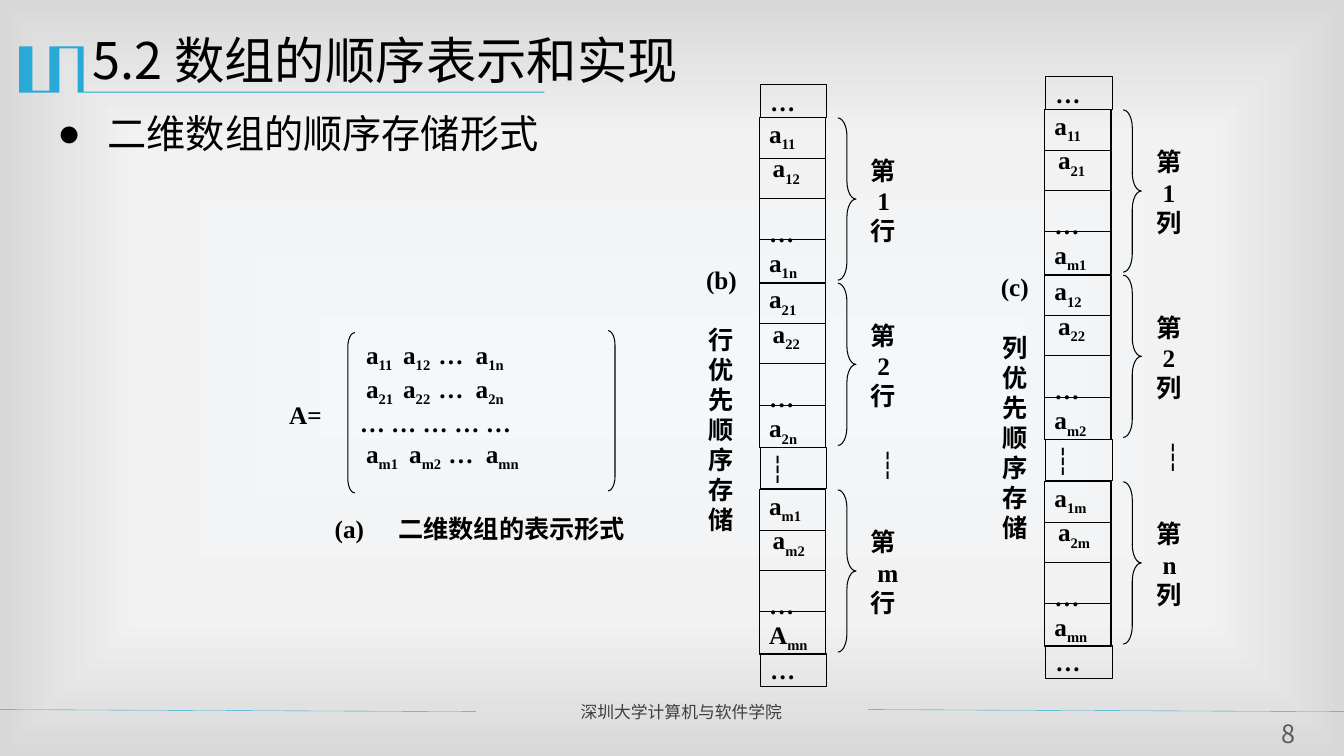
from pptx import Presentation
from pptx.dml.color import RGBColor
from pptx.enum.shapes import MSO_CONNECTOR, MSO_SHAPE as SHAPE
from pptx.enum.text import MSO_ANCHOR as ANCHOR, PP_ALIGN as ALIGN
from pptx.oxml import parse_xml
from pptx.oxml.ns import nsdecls, qn
from pptx.util import Inches, Pt

SANS, SERIF = "Noto Sans CJK SC", "Times New Roman"
BLACK, ACCENT = "000000", "28A9D6"
GRADIENT = [(0, "F4F8FB"), (63000, "F2F2F2"), (100000, "D8D8D8")]
EMBLEM = [(0.82, 0.46), (0.83, 0.46), (0.83, 0.91), (5.4, 0.91), (5.4, 0.92),
          (0.77, 0.92), (0.77, 0.48), (0.59, 0.48), (0.59, 0.92), (0.19, 0.92),
          (0.19, 0.46), (0.32, 0.46), (0.32, 0.9), (0.49, 0.9), (0.49, 0.46)]
MATRIX = [(" a|11|\ta|12|\t…\ta|1n|", (0.43, 0.78, 1.15)),
          (" a|21|\ta|22|\t…\ta|2n|", (0.43, 0.78, 1.15)),
          ("… … … … …", ()),
          (" a|m1|\ta|m2|\t…\ta|mn|", (0.49, 0.88, 1.25))]
BY_ROW = [("a|11|", "| |a|12|", "…", "a|1n|", "1"),
          ("a|21|", "| |a|22|", "…", "a|2n|", "2"),
          ("a|m1|", "| |a|m2|", "…", "A|mn|", "m")]
BY_COLUMN = [("a|11|", "| |a|21|", "…", "a|m1|", "1"),
             ("a|12|", "| |a|22|", "…", "a|m2|", "2"),
             ("a|1m|", "| |a|2m|", "…", "a|mn|", "n")]


def color(value):
    return RGBColor.from_string(value)


def style(span, size, name, value=BLACK, bold=False):
    font = span.font
    font.size, font.name, font.bold = Pt(size), name, bold
    font.color.rgb = color(value)
    face = SANS if any(letter >= "一" for letter in span.text) else name
    east = parse_xml(f'<a:ea {nsdecls("a")} typeface="{face}"/>')
    font._element.find(qn("a:latin")).addnext(east)


def write(para, text, size=18, name=SERIF, value=BLACK, bold=True):
    for index, piece in enumerate(text.split("|")):
        if piece:
            span = para.add_run()
            span.text = piece
            style(span, size, name, value, bold)
            if index % 2:
                span.font._element.set("baseline", "-25000")


def add_tabs(para, stops):
    marks = "".join(f'<a:tab pos="{Inches(stop)}" algn="l"/>' for stop in stops)
    para._p.get_or_add_pPr().append(
        parse_xml(f'<a:tabLst {nsdecls("a")}>{marks}</a:tabLst>'))


def fill_lines(shape, lines):
    frame = shape.text_frame
    frame.word_wrap = True
    frame.vertical_anchor = ANCHOR.MIDDLE
    for index, line in enumerate(lines):
        para = frame.add_paragraph() if index else frame.paragraphs[0]
        para.alignment = ALIGN.LEFT
        write(para, line)
    return frame


def add_text(slide, area, lines):
    return fill_lines(slide.shapes.add_textbox(*map(Inches, area)), lines)


def add_outline(slide, kind, area, adjustments=()):
    shape = slide.shapes.add_shape(kind, *map(Inches, area))
    shape.shadow.inherit = False
    shape.fill.background()
    shape.line.color.rgb = color(BLACK)
    shape.line.width = Pt(0.75)
    for index, value in enumerate(adjustments):
        shape.adjustments[index] = value
    return shape


def add_line(slide, ends, value=BLACK, width=0.75):
    line = slide.shapes.add_connector(MSO_CONNECTOR.STRAIGHT, *map(Inches, ends))
    line.line.color.rgb = color(value)
    line.line.width = Pt(width)
    line._element.spPr.append(parse_xml(f'<a:effectLst {nsdecls("a")}/>'))


def set_pitch(frame):
    for para in frame.paragraphs:
        para.line_spacing = Pt(21.5)


def add_block(slide, left, top, cells, unit):
    *entries, number = cells
    box = add_outline(slide, SHAPE.RECTANGLE, (left, top, 0.66, 1.63))
    frame = fill_lines(box, entries)
    frame.paragraphs[2].space_before = Pt(21.5)
    for offset in (0.4, 0.8, 1.21):
        add_line(slide, (left, top + offset, left + 0.66, top + offset))
    add_outline(slide, SHAPE.RIGHT_BRACE, (left + 0.78, top, 0.18, 1.61), (0.994, 0.5))
    set_pitch(add_text(slide, (left + 1.01, top + 0.34, 0.51, 0.95),
                       ["第", f" {number}", unit]))


def add_storage(slide, left, top, blocks, unit):
    for offset, cells in zip((0, 1.64, 3.69), blocks):
        add_block(slide, left, top + offset, cells, unit)
    for offset, height, mark in ((-0.33, 0.33, "…"), (3.27, 0.41, "┆"), (5.31, 0.33, "…")):
        area = (left + 0.01, top + offset, 0.66, height)
        fill_lines(add_outline(slide, SHAPE.RECTANGLE, area), [mark])
    add_text(slide, (left + 1.1, top + 3.23, 0.54, 0.41), ["┆"])


def add_vertical_caption(slide, area, letter, text):
    frame = add_text(slide, area, [f"({letter})"])
    frame.margin_left = frame.margin_right = Inches(0.05)
    body = frame.add_paragraph()
    write(body, text, name=SANS)
    body.space_before = Pt(21.5)
    for para in frame.paragraphs:
        para.alignment = ALIGN.CENTER
    set_pitch(frame)


def add_matrix(slide):
    frame = add_text(slide, (3.47, 3.21, 2.53, 1.63), [row for row, _ in MATRIX])
    for para, (_, stops) in zip(frame.paragraphs, MATRIX):
        if stops:
            add_tabs(para, stops)
    add_text(slide, (2.77, 3.91, 0.55, 0.4), ["A="])
    add_outline(slide, SHAPE.LEFT_BRACKET, (3.45, 3.3, 0.07, 1.59), (2.015,))
    add_outline(slide, SHAPE.RIGHT_BRACKET, (6.03, 3.28, 0.07, 1.59), (2.015,))
    caption = add_text(slide, (3.16, 5.07, 3.18, 0.35), ["(a)\t"])
    caption.margin_left = Inches(0.16)
    para = caption.paragraphs[0]
    add_tabs(para, [0.63])
    write(para, "二维数组的表示形式", name="Arial")


def add_background(slide):
    stops = "".join(f'<a:gs pos="{pos}"><a:srgbClr val="{value}"/></a:gs>'
                    for pos, value in GRADIENT)
    slide.element.cSld.insert(0, parse_xml(
        f'<p:bg {nsdecls("p", "a")}><p:bgPr><a:gradFill><a:gsLst>{stops}</a:gsLst>'
        '<a:path path="rect"><a:fillToRect l="50000" t="50000" r="50000" b="50000"/>'
        '</a:path></a:gradFill><a:effectLst/></p:bgPr></p:bg>'))


def add_decoration(slide):
    start, *corners = [(Inches(x), Inches(y)) for x, y in EMBLEM]
    builder = slide.shapes.build_freeform(*start)
    builder.add_line_segments(corners, close=True)
    emblem = builder.convert_to_shape()
    emblem.shadow.inherit = False
    emblem.fill.solid()
    emblem.fill.fore_color.rgb = color(ACCENT)
    emblem.line.fill.background()
    for left, right in ((0, 4.72), (8.61, 13.33)):
        add_line(slide, (left, 7.04, right, 7.06), ACCENT, 0.25)


def add_plain(slide, area, text, size, value, align):
    box = slide.shapes.add_textbox(*map(Inches, area))
    frame = box.text_frame
    frame.word_wrap = True
    para = frame.paragraphs[0]
    para.alignment = align
    write(para, text, size, SANS, value, False)
    return frame


def add_heading(slide):
    title = slide.shapes.title
    title.left, title.top, title.width, title.height = map(Inches, (0.82, 0.24, 12, 0.87))
    frame = title.text_frame
    frame.text = "5.2 数组的顺序表示和实现"
    frame.vertical_anchor = ANCHOR.TOP
    para = frame.paragraphs[0]
    para.alignment = ALIGN.LEFT
    style(para.runs[0], 36, SANS)


def add_bullet(slide):
    frame = add_plain(slide, (0.47, 1.04, 12.13, 5.63), "二维数组的顺序存储形式",
                      28, BLACK, ALIGN.LEFT)
    props = frame.paragraphs[0]._p.get_or_add_pPr()
    props.set("marL", str(Inches(0.5)))
    props.set("indent", str(Inches(-0.5)))
    props.append(parse_xml(f'<a:buFont {nsdecls("a")} typeface="Arial"/>'))
    props.append(parse_xml(f'<a:buChar {nsdecls("a")} char="●"/>'))


def main():
    deck = Presentation()
    deck.slide_width, deck.slide_height = Inches(13.33), Inches(7.5)
    slide = deck.slides.add_slide(deck.slide_layouts[5])
    add_background(slide)
    add_decoration(slide)
    add_plain(slide, (5.66, 6.91, 2.85, 0.3), "深圳大学计算机与软件学院", 12, "3F3F3F", ALIGN.LEFT)
    add_bullet(slide)
    add_heading(slide)
    number = add_plain(slide, (12.48, 7.13, 0.59, 0.31), "8", 18, "595959", ALIGN.CENTER)
    number.margin_left = number.margin_right = number.margin_top = number.margin_bottom = 0
    add_matrix(slide)
    add_vertical_caption(slide, (6.9, 2.9, 0.51, 2.13), "b", "行优先顺序存储")
    add_storage(slide, 7.53, 1.17, BY_ROW, "行")
    add_vertical_caption(slide, (9.81, 2.7, 0.51, 2.68), "c", "列优先顺序存储")
    add_storage(slide, 10.36, 1.09, BY_COLUMN, "列")
    deck.save("out.pptx")


if __name__ == "__main__":
    main()
